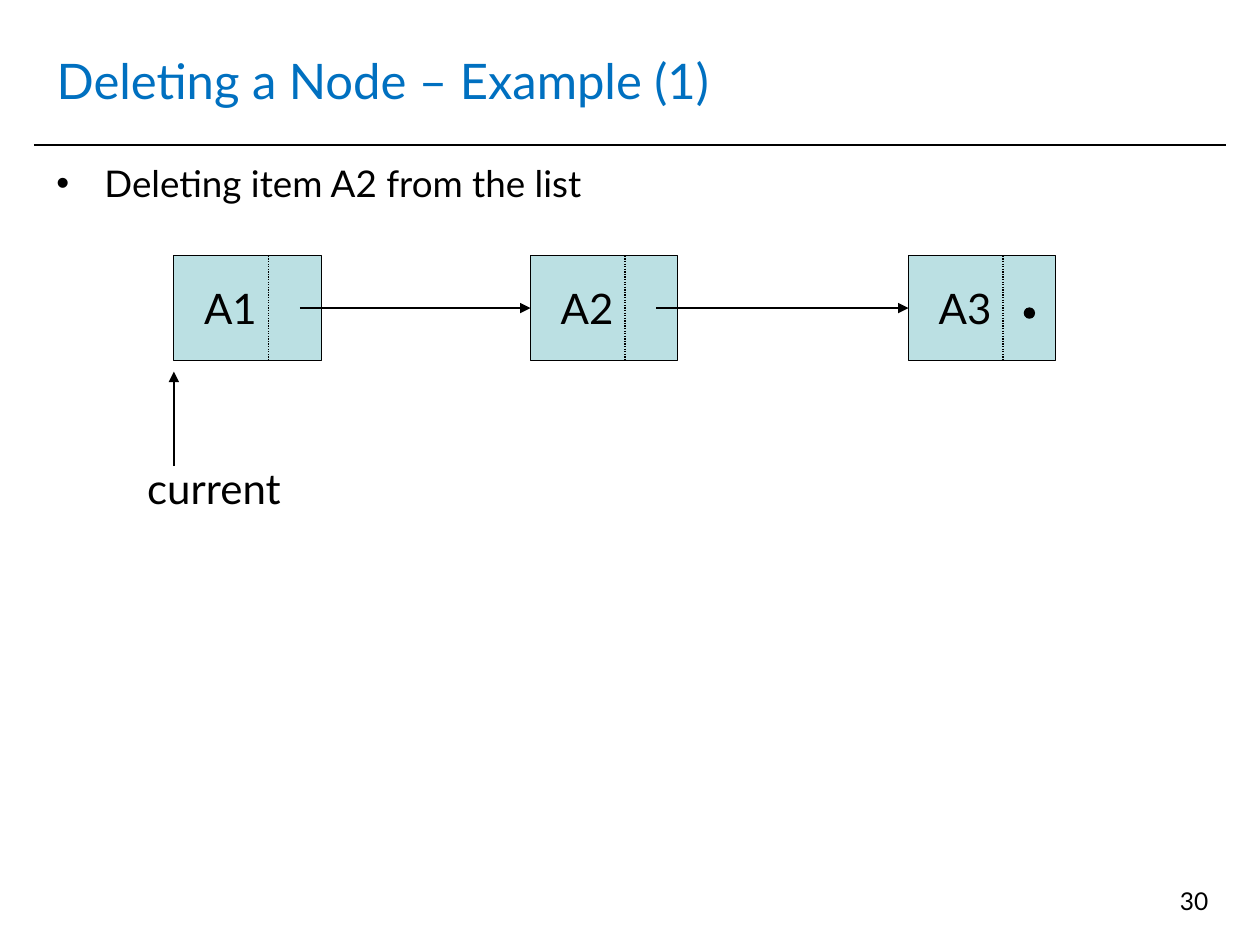
from lxml import etree
from pptx import Presentation
from pptx.dml.color import RGBColor
from pptx.enum.dml import MSO_LINE
from pptx.enum.shapes import MSO_CONNECTOR, MSO_SHAPE
from pptx.enum.text import MSO_ANCHOR, MSO_AUTO_SIZE, PP_ALIGN
from pptx.oxml.ns import qn
from pptx.util import Inches, Pt

STRAIGHT = MSO_CONNECTOR.STRAIGHT
RECTANGLE, OVAL = MSO_SHAPE.RECTANGLE, MSO_SHAPE.OVAL
TOP, MIDDLE = MSO_ANCHOR.TOP, MSO_ANCHOR.MIDDLE
LEFT, CENTER, RIGHT = PP_ALIGN.LEFT, PP_ALIGN.CENTER, PP_ALIGN.RIGHT
DOTTED = MSO_LINE.ROUND_DOT
NO_FIT = MSO_AUTO_SIZE.NONE
LEFT_SIDE = 1

FONT = "Lato"
COLORS = {"title": "0070C0", "ink": "000000", "node": "BBE0E3"}

# Slide and list grid, in inches
SLIDE_W, SLIDE_H = 10, 7.5
MARGIN = 0.35
CONTENT_W = SLIDE_W - 2 * MARGIN
NODES = {"A1": 1.38, "A2": 4.21, "A3": 7.21}
NODE_W, NODE_H, NODE_TOP = 1.17, 0.83, 2.03
NODE_MIDDLE = NODE_TOP + NODE_H / 2
DIVIDER, LINK_START = 0.75, 1.0  # offsets from a node's left edge
DOT = 0.08


def color(name):
    return RGBColor.from_string(COLORS[name])


def place(shape, left, top, width, height):
    shape.left, shape.top = Inches(left), Inches(top)
    shape.width, shape.height = Inches(width), Inches(height)


def write(shape, text, size, ink="ink", align=LEFT, anchor=TOP, wrap=True):
    frame = shape.text_frame
    frame.auto_size = NO_FIT
    frame.word_wrap = wrap
    frame.vertical_anchor = anchor
    para = frame.paragraphs[0]
    para.alignment = align
    span = para.add_run()
    span.text = text
    span.font.name = FONT
    span.font.size = Pt(size)
    span.font.color.rgb = color(ink)
    return para


def add_text(slide, area, text, size, **options):
    box = slide.shapes.add_textbox(*map(Inches, area))
    return write(box, text, size, **options)


def add_bullet(para, indent):
    properties = para._p.get_or_add_pPr()
    properties.set("marL", str(Inches(indent)))
    properties.set("indent", str(-Inches(indent)))
    bullet_color = etree.SubElement(properties, qn("a:buClr"))
    etree.SubElement(bullet_color, qn("a:srgbClr"), val=COLORS["ink"])
    etree.SubElement(properties, qn("a:buFont"), typeface="Arial")
    etree.SubElement(properties, qn("a:buChar"), char="•")


def add_shape(slide, kind, area, fill):
    shape = slide.shapes.add_shape(kind, *map(Inches, area))
    shape.shadow.inherit = False
    shape.fill.solid()
    shape.fill.fore_color.rgb = color(fill)
    shape.line.color.rgb = color("ink")
    shape.line.width = Pt(0.75)
    return shape


def add_line(slide, start, end, width=1, dash=None, arrow=False):
    line = slide.shapes.add_connector(STRAIGHT, *map(Inches, start + end))
    line.line.color.rgb = color("ink")
    line.line.width = Pt(width)
    if dash:
        line.line.dash_style = dash
    if arrow:
        etree.SubElement(line.line._get_or_add_ln(), qn("a:tailEnd"), type="triangle")
    etree.SubElement(line._element.spPr, qn("a:effectLst"))
    return line


def add_node(slide, name, left):
    node = add_shape(slide, RECTANGLE, (left, NODE_TOP, NODE_W, NODE_H), "node")
    # The wide right inset centres the name over the data field
    node.text_frame.margin_right = Inches(0.37)
    write(node, name, 24, align=CENTER, anchor=MIDDLE)
    x = left + DIVIDER
    add_line(slide, (x, NODE_TOP), (x, NODE_TOP + NODE_H), 0.75, DOTTED)
    return node


def add_link(slide, left, target_left, target):
    link = add_line(slide, (left + LINK_START, NODE_MIDDLE),
                    (target_left, NODE_MIDDLE), arrow=True)
    link.end_connect(target, LEFT_SIDE)


def main():
    deck = Presentation()
    deck.slide_width, deck.slide_height = Inches(SLIDE_W), Inches(SLIDE_H)
    slide = deck.slides.add_slide(deck.slide_layouts[5])

    # Heading with its rule
    add_line(slide, (0.27, 1.15), (SLIDE_W - 0.27, 1.15))
    title = slide.shapes.title
    place(title, MARGIN, 0.21, CONTENT_W, 0.85)
    write(title, "Deleting a Node – Example (1)", 28, "title", anchor=MIDDLE)

    # Statement and page number
    para = add_text(slide, (MARGIN, 1.23, CONTENT_W, 0.63),
                    "Deleting item A2 from the list", 21)
    add_bullet(para, 0.38)
    add_text(slide, (7.36, 6.98, 2.33, 0.52), "30", 14, align=RIGHT)

    # Linked list
    lefts = list(NODES.values())
    nodes = [add_node(slide, name, left) for name, left in NODES.items()]
    for left, target_left, target in zip(lefts, lefts[1:], nodes[1:]):
        add_link(slide, left, target_left, target)

    # End-of-list mark
    add_shape(slide, OVAL, (lefts[-1] + 0.92, NODE_MIDDLE, DOT, DOT), "ink")

    # Pointer to the current node
    add_text(slide, (1.07, 3.62, 1.26, 0.5), "current", 24, wrap=False)
    add_line(slide, (lefts[0], 3.7), (lefts[0], 2.95), arrow=True)

    deck.save("out.pptx")


if __name__ == "__main__":
    main()
